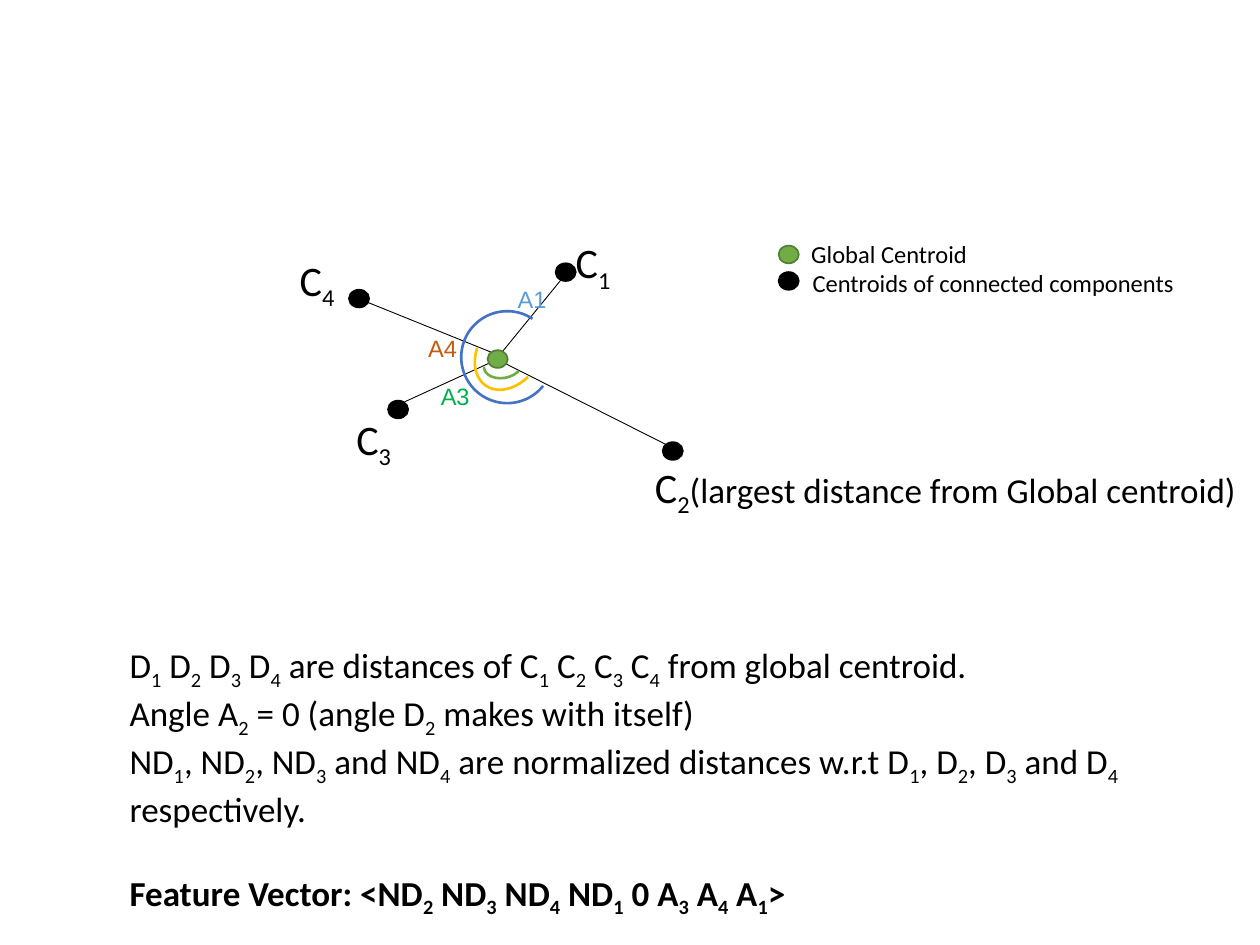
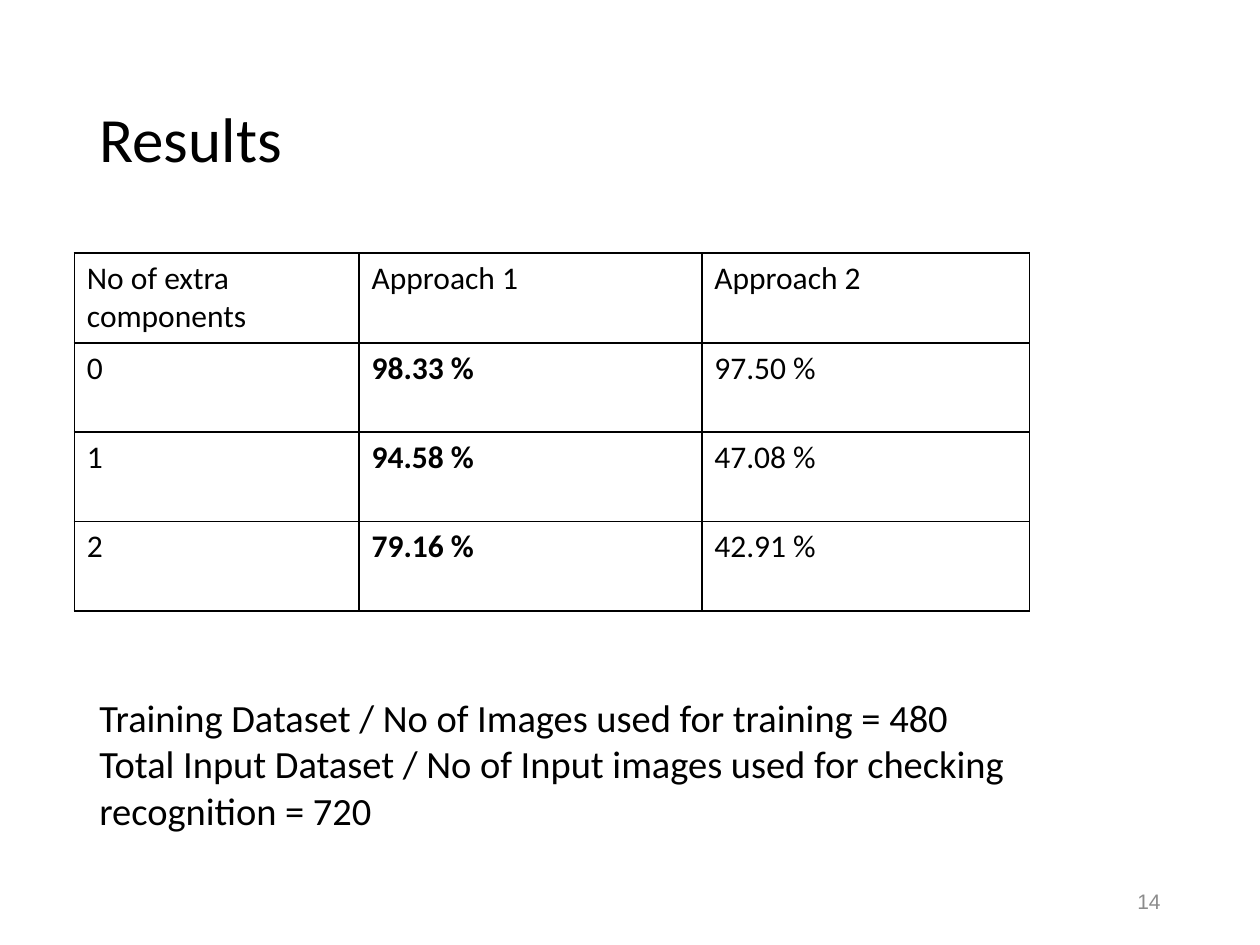
from dataclasses import dataclass

from pptx import Presentation
from pptx.dml.color import RGBColor
from pptx.enum.shapes import MSO_CONNECTOR, MSO_SHAPE
from pptx.enum.text import MSO_ANCHOR, MSO_AUTO_SIZE, PP_ALIGN
from pptx.oxml import parse_xml
from pptx.oxml.ns import nsdecls, qn
from pptx.oxml.xmlchemy import OxmlElement
from pptx.util import Inches, Pt

BLACK = RGBColor(0x00, 0x00, 0x00)
GREEN = RGBColor(0x70, 0xAD, 0x47)
DARK_GREEN = RGBColor(0x53, 0x80, 0x35)
GOLD = RGBColor(0xFF, 0xC0, 0x00)
BLUE = RGBColor(0x44, 0x72, 0xC4)
LIGHT_BLUE = RGBColor(0x5B, 0x9B, 0xD5)
EMERALD = RGBColor(0x00, 0xB0, 0x50)
RUST = RGBColor(0xC5, 0x5A, 0x11)
GREY = RGBColor(0x8C, 0x8C, 0x8C)

BODY_FONT = "Calibri"
LABEL_FONT = "Arial"
DOT_WIDTH, DOT_HEIGHT = 0.16, 0.14
ROW_HEIGHT = 0.71


@dataclass(frozen=True)
class Style:
    size: float
    font: str = BODY_FONT
    color: RGBColor = BLACK
    bold: bool = False


@dataclass(frozen=True)
class Label:
    text: str
    left: float
    top: float
    width: float
    height: float
    style: Style


@dataclass(frozen=True)
class Dot:
    left: float
    top: float
    fill: RGBColor = BLACK
    line: RGBColor = BLACK


@dataclass(frozen=True)
class Ray:
    x1: float
    y1: float
    x2: float
    y2: float


@dataclass(frozen=True)
class Arc:
    left: float
    top: float
    width: float
    height: float
    rotation: float
    start: float
    end: float
    color: RGBColor


CENTROID = Style(24)
LEGEND = Style(14)
BODY = Style(20)
NOTE = Style(22)

RAYS = [
    Ray(3.98, 2.8, 4.47, 2.2),
    Ray(3.98, 2.87, 5.29, 3.53),
    Ray(3.21, 3.19, 3.91, 2.87),
    Ray(2.87, 2.38, 3.91, 2.8),
]
ARCS = [
    Arc(3.84, 2.8, 0.3, 0.2, 170.8, 124.73, 3.49, GREEN),
    Arc(3.71, 2.54, 0.67, 0.49, 124.6, 173.88, 36.29, GOLD),
    Arc(3.66, 2.47, 0.73, 0.73, 137.2, 156.85, 99.73, BLUE),
]
DOTS = [
    Dot(6.18, 1.95, GREEN, DARK_GREEN),
    Dot(6.18, 2.16),
    Dot(3.87, 2.78, GREEN, DARK_GREEN),
    Dot(5.26, 3.51),
    Dot(4.41, 2.09),
    Dot(3.08, 3.18),
    Dot(2.77, 2.3),
]
LABELS = [
    Label("C_1", 4.47, 1.83, 0.75, 0.5, CENTROID),
    Label("C_3", 2.73, 3.23, 0.75, 0.5, CENTROID),
    Label("C_4", 2.28, 1.97, 0.75, 0.5, CENTROID),
    Label("A3", 3.4, 2.98, 0.75, 0.33, Style(13.5, LABEL_FONT, EMERALD)),
    Label("A4", 3.3, 2.6, 0.75, 0.33, Style(13.5, LABEL_FONT, RUST)),
    Label("A1", 4.01, 2.21, 0.75, 0.33, Style(13.5, LABEL_FONT, LIGHT_BLUE)),
    Label("Global Centroid", 6.34, 1.85, 2.8, 0.34, LEGEND),
    Label("Centroids of connected components", 6.35, 2.08, 4.09, 0.34, LEGEND),
]
DEFINITIONS = [
    "D_1 D_2 D_3 D_4 are distances of C_1 C_2 C_3 C_4 from global centroid.",
    "Angle A_2 = 0 (angle D_2 makes with itself)",
    "ND_1, ND_2, ND_3 and ND_4 are normalized distances w.r.t "
    "D_1, D_2, D_3 and D_4 respectively.",
]
FEATURE_VECTOR = "Feature Vector: <ND_2 ND_3 ND_4 ND_1 0 A_3 A_4 A_1>"
DATASETS = [
    "Training Dataset / No of Images used for training = 480",
    "Total Input Dataset / No of Input images used for checking recognition = 720",
]
COLUMN_WIDTHS = [2.26, 2.72, 2.6]
RESULTS = [
    ["No of extra components", "Approach 1", "Approach 2"],
    ["0", "98.33 %", "97.50 %"],
    ["1", "94.58 %", "47.08 %"],
    ["2", "79.16 %", "42.91 %"],
]


def add_run(p, text: str, style: Style, subscript: bool = False) -> None:
    r = p.add_run()
    r.text = text
    r.font.size = Pt(style.size)
    r.font.name = style.font
    r.font.bold = style.bold
    r.font.color.rgb = style.color
    if subscript:
        r._r.get_or_add_rPr().set("baseline", "-25000")


def write(p, text: str, style: Style) -> None:
    first, *pieces = text.split("_")
    add_run(p, first, style)
    for piece in pieces:
        add_run(p, piece[0], style, subscript=True)
        if piece[1:]:
            add_run(p, piece[1:], style)


def add_text(slide, left: float, top: float, width: float, height: float,
             lines: list[str], style: Style):
    sp = slide.shapes.add_textbox(Inches(left), Inches(top), Inches(width), Inches(height))
    tf = sp.text_frame
    tf.word_wrap = True
    tf.auto_size = MSO_AUTO_SIZE.SHAPE_TO_FIT_TEXT
    for i, line in enumerate(lines):
        p = tf.paragraphs[0] if i == 0 else tf.add_paragraph()
        write(p, line, style)
    return tf


def add_label(slide, label: Label):
    return add_text(slide, label.left, label.top, label.width, label.height,
                    [label.text], label.style)


def add_ray(slide, ray: Ray) -> None:
    line = slide.shapes.add_connector(MSO_CONNECTOR.STRAIGHT, Inches(ray.x1), Inches(ray.y1),
                                      Inches(ray.x2), Inches(ray.y2))
    line.line.color.rgb = BLACK
    line.line.width = Pt(0.5)
    line._element.spPr.append(OxmlElement("a:effectLst"))


def add_arc(slide, arc: Arc) -> None:
    sp = slide.shapes.add_shape(MSO_SHAPE.ARC, Inches(arc.left), Inches(arc.top),
                                Inches(arc.width), Inches(arc.height))
    sp.adjustments[0] = arc.start
    sp.adjustments[1] = arc.end
    sp.rotation = arc.rotation
    sp.shadow.inherit = False
    sp.fill.background()
    sp.line.color.rgb = arc.color
    sp.line.width = Pt(1.5)


def add_dot(slide, dot: Dot) -> None:
    sp = slide.shapes.add_shape(MSO_SHAPE.OVAL, Inches(dot.left), Inches(dot.top),
                                Inches(DOT_WIDTH), Inches(DOT_HEIGHT))
    sp.shadow.inherit = False
    sp.fill.solid()
    sp.fill.fore_color.rgb = dot.fill
    sp.line.color.rgb = dot.line
    sp.line.width = Pt(1)


def set_borders(cell) -> None:
    tcPr = cell._tc.get_or_add_tcPr()
    for i, side in enumerate(("lnL", "lnR", "lnT", "lnB")):
        tcPr.insert(i, parse_xml(
            f'<a:{side} {nsdecls("a")} w="12700"><a:solidFill>'
            f'<a:srgbClr val="{BLACK}"/></a:solidFill></a:{side}>'))


def add_results_table(slide) -> None:
    frame = slide.shapes.add_table(len(RESULTS), len(COLUMN_WIDTHS), Inches(0.59), Inches(2.01),
                                   Inches(sum(COLUMN_WIDTHS)),
                                   Inches(ROW_HEIGHT * len(RESULTS)))
    table = frame.table
    table.first_row = False
    table.horz_banding = False
    for column, width in zip(table.columns, COLUMN_WIDTHS):
        column.width = Inches(width)
    for i, values in enumerate(RESULTS):
        table.rows[i].height = Inches(ROW_HEIGHT)
        for j, value in enumerate(values):
            cell = table.cell(i, j)
            cell.fill.background()
            set_borders(cell)
            write(cell.text_frame.paragraphs[0], value, Style(18, bold=i > 0 and j == 1))


def build_features(prs) -> None:
    slide = prs.slides.add_slide(prs.slide_layouts[6])
    for ray in RAYS:
        add_ray(slide, ray)
    for arc in ARCS:
        add_arc(slide, arc)
    for label in LABELS:
        add_label(slide, label)
    farthest = add_label(slide, Label("C_2", 5.1, 3.61, 4.93, 0.5, CENTROID))
    add_run(farthest.paragraphs[0], "(largest distance from Global centroid)", BODY)
    tf = add_text(slide, 0.93, 5.06, 8.34, 2.46, DEFINITIONS, BODY)
    p = tf.add_paragraph()
    p.space_before = Pt(24)
    write(p, FEATURE_VECTOR, Style(20, bold=True))
    for dot in DOTS:
        add_dot(slide, dot)


def build_results(prs) -> None:
    slide = prs.slides.add_slide(prs.slide_layouts[5])
    title = slide.shapes.title
    title.left, title.top = Inches(0.69), Inches(0.4)
    title.width, title.height = Inches(8.62), Inches(1.45)
    title.text_frame.vertical_anchor = MSO_ANCHOR.MIDDLE
    p = title.text_frame.paragraphs[0]
    p.alignment = PP_ALIGN.LEFT
    p.line_spacing = 0.9
    write(p, "Results", Style(36))
    add_results_table(slide)
    number = add_label(slide, Label("14", 7.06, 6.95, 2.25, 0.4, Style(12, LABEL_FONT, GREY)))
    number.auto_size = MSO_AUTO_SIZE.NONE
    number.vertical_anchor = MSO_ANCHOR.MIDDLE
    number.paragraphs[0].alignment = PP_ALIGN.RIGHT
    add_text(slide, 0.69, 5.46, 7.48, 1.21, DATASETS, NOTE)


def main() -> None:
    prs = Presentation()
    prs.slide_width, prs.slide_height = Inches(10), Inches(7.5)
    build_features(prs)
    build_results(prs)
    prs.save("out.pptx")


if __name__ == "__main__":
    main()
